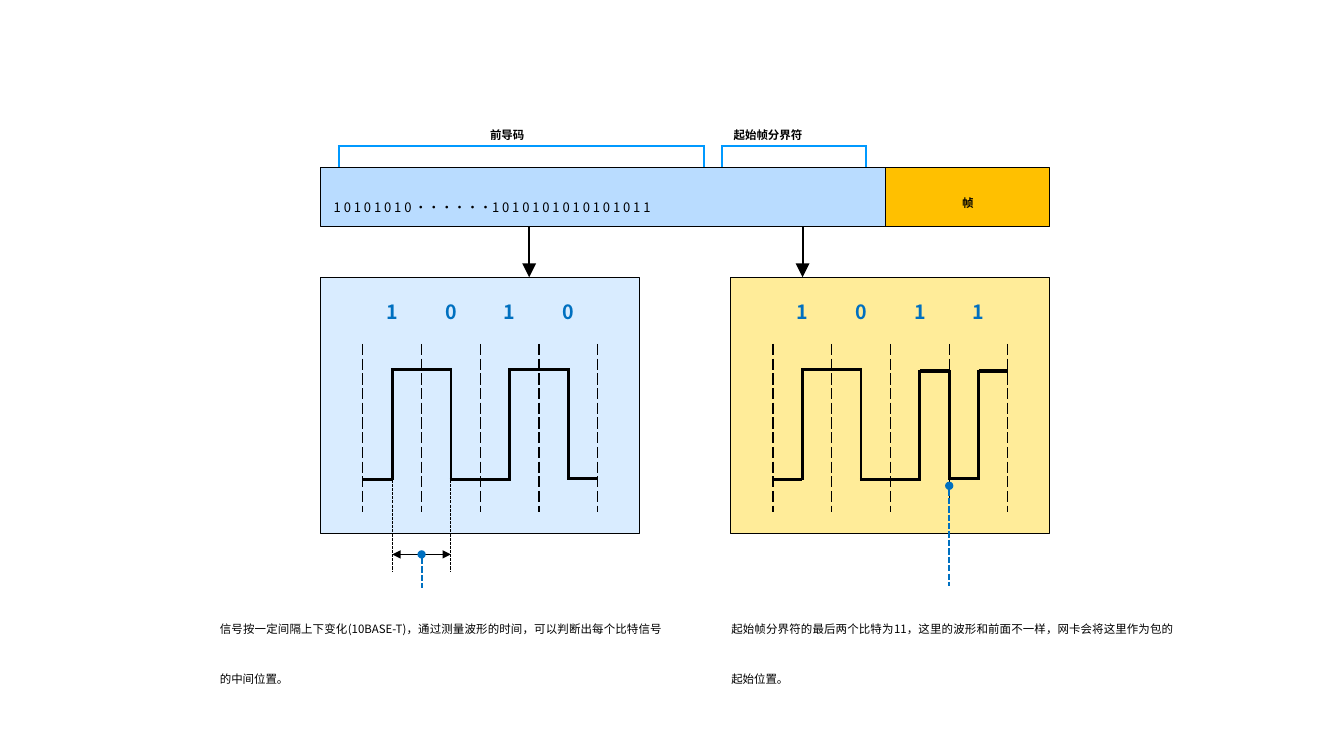
from lxml import etree
from pptx import Presentation
from pptx import util as u
from pptx.dml.color import RGBColor
from pptx.enum import dml, shapes, text
from pptx.oxml.ns import qn

Pt = u.Pt
THEME = {
    "font": "Noto Sans CJK SC",
    "black": "000000", "white": "FFFFFF", "blue": "0070C0", "bracket": "0099FF",
    "strip": "B9DCFF", "frame": "FFC000",
    "preamble": "D9ECFF", "delimiter": "FFEC99",
    "small": 8.2, "bits": 9.3, "digit": 14, "empty": 6,
}
NO_TABLE_STYLE = "{2D5ABB26-0587-4C30-8999-92F81FD0307C}"
HALF_BIT = 20.97
BIT = 2 * HALF_BIT
PREAMBLE_LEFT, DELIMITER_LEFT = 259.2, 552.2
WAVE_HIGH, WAVE_LOW = 264.2, 342.7
STRIP_TOP, STRIP_BOTTOM, PANEL_TOP = 120, 162, 198
BRACKET_TOP = 104.4

presentation = Presentation()
presentation.slide_width, presentation.slide_height = Pt(960), Pt(540)
slide = presentation.slides.add_slide(presentation.slide_layouts[6])


def write(frame, words, size="small", color="black", bold=False,
          align=text.PP_ALIGN.LEFT, spacing=None, top=None):
    if top is not None:
        frame.margin_top = Pt(top)
        frame.word_wrap = True
    paragraph = frame.paragraphs[0]
    paragraph.alignment = align
    if spacing:
        paragraph.line_spacing = Pt(spacing)
    run = paragraph.add_run()
    run.text = words
    run.font.size = Pt(THEME[size])
    run.font.bold = bold
    run.font.color.rgb = RGBColor.from_string(THEME[color])
    run.font.name = THEME["font"]
    etree.SubElement(run.font._element, qn("a:ea"), typeface=THEME["font"])


def add_grid(left, top, column_width, heights, sides, styles, fill=None):
    """Draw a table; sides holds the bordered sides of each cell, row by row."""
    columns = len(sides[0])
    table = slide.shapes.add_table(
        len(heights), columns, Pt(left), Pt(top),
        Pt(columns * column_width), Pt(sum(heights))).table
    table.first_row = table.horz_banding = False
    table._tbl.tblPr.find(qn("a:tableStyleId")).text = NO_TABLE_STYLE
    for column in table.columns:
        column.width = Pt(column_width)
    for row, height in enumerate(heights):
        table.rows[row].height = Pt(height)
        for column in range(columns):
            cell = table.cell(row, column)
            properties = cell._tc.get_or_add_tcPr()
            for side in sides[row][column]:
                color, weight, dash = styles.get(side, styles["all"])
                border = etree.SubElement(
                    properties, qn("a:ln" + side), w=str(Pt(weight)))
                paint = etree.SubElement(border, qn("a:solidFill"))
                etree.SubElement(paint, qn("a:srgbClr"), val=THEME[color])
                etree.SubElement(border, qn("a:prstDash"), val=dash)
            if fill:
                cell.fill.solid()
                cell.fill.fore_color.rgb = RGBColor.from_string(THEME[fill])
            else:
                cell.fill.background()
                cell.margin_top = cell.margin_bottom = 0
            etree.SubElement(cell.text_frame.paragraphs[0]._p,
                             qn("a:endParaRPr"), sz=str(THEME["empty"] * 100))
    return table


# Brackets above the strip
for left, width in ((242, 260.6), (515.5, 103)):
    add_grid(left, BRACKET_TOP, width, [16.6], [["LRTB"]],
             {"all": ("bracket", 1.5, "solid"), "B": ("white", 3, "solid")})

# Packet strip, frame and the two panels
boxes = {}
for name, left, top, width, height in (
    ("strip", 229, STRIP_TOP, 404, STRIP_BOTTOM - STRIP_TOP),
    ("delimiter", 522, PANEL_TOP, 228, 183),
    ("preamble", 229, PANEL_TOP, 228, 183),
    ("frame", 632.7, STRIP_TOP, 117.3, STRIP_BOTTOM - STRIP_TOP),
):
    shape = slide.shapes.add_shape(
        shapes.MSO_SHAPE.RECTANGLE, Pt(left), Pt(top), Pt(width), Pt(height))
    shape.shadow.inherit = False
    shape.fill.solid()
    shape.fill.fore_color.rgb = RGBColor.from_string(THEME[name])
    shape.line.color.rgb = RGBColor.from_string(THEME["black"])
    shape.line.width = Pt(0.75)
    boxes[name] = shape
boxes["frame"].text_frame.vertical_anchor = text.MSO_ANCHOR.MIDDLE
write(boxes["frame"].text_frame, "帧", bold=True,
      align=text.PP_ALIGN.CENTER, top=10.8)

# Bit grids with dashed limits, and the waveforms over them
for name, left, digits, wave_sides in (
    ("preamble", PREAMBLE_LEFT, "1010", ["LRT", "LRB", "LRT", "L"]),
    ("delimiter", DELIMITER_LEFT, "1011", ["LRT", "LRB", "L", ""]),
):
    table = add_grid(left, 208.3, BIT, [37.4, 120.2], [[""] * 4, ["LR"] * 4],
                     {"all": ("black", 1, "dash")}, fill=name)
    for column, digit in enumerate(digits):
        write(table.cell(0, column).text_frame, digit, size="digit",
              color="blue", bold=True, align=text.PP_ALIGN.CENTER)
    add_grid(left + HALF_BIT, WAVE_HIGH, BIT, [WAVE_LOW - WAVE_HIGH],
             [wave_sides], {"all": ("black", 2.25, "solid")})

# Wave ends, timing marks, arrows and callout lines
first_edge = PREAMBLE_LEFT + HALF_BIT
second_edge = first_edge + BIT
bit_middle = first_edge + HALF_BIT
last_low = PREAMBLE_LEFT + 7 * HALF_BIT
third_rise, start_mark, last_rise, delimiter_end = (
    DELIMITER_LEFT + step * HALF_BIT for step in (5, 6, 7, 8))
WAVE = ("black", 2.25, False, None, None)
TIMING = ("black", 0.75, True, None, None)
SPAN = ("black", 0.75, False, "triangle", "triangle")
ARROW = ("black", 1.5, False, None, "triangle")
CALLOUT = ("blue", 1.5, True, "oval", None)
for x1, y1, x2, y2, (color, weight, dashed, head, tail) in (
    (PREAMBLE_LEFT, WAVE_LOW, first_edge, WAVE_LOW, WAVE),
    (last_low, 341.5, last_low + HALF_BIT, 341.5, WAVE),
    (DELIMITER_LEFT, WAVE_LOW, DELIMITER_LEFT + HALF_BIT, WAVE_LOW, WAVE),
    (start_mark, 341.5, last_rise, 341.5, WAVE),
    (third_rise, 265, start_mark, 265, WAVE),
    (start_mark, WAVE_HIGH, start_mark, WAVE_LOW, WAVE),
    (last_rise, WAVE_HIGH, last_rise, WAVE_LOW, WAVE),
    (last_rise, 265, delimiter_end, 265, WAVE),
    (first_edge, WAVE_LOW, first_edge, 408, TIMING),
    (second_edge, WAVE_LOW, second_edge, 408, TIMING),
    (first_edge, 396, second_edge, 396, SPAN),
    (378, STRIP_BOTTOM, 378, PANEL_TOP, ARROW),
    (573.3, STRIP_BOTTOM, 573.3, PANEL_TOP, ARROW),
    (start_mark, 347, start_mark, 418.3, CALLOUT),
    (bit_middle, 396, bit_middle, 420, CALLOUT),
):
    connector = slide.shapes.add_connector(
        shapes.MSO_CONNECTOR.STRAIGHT, Pt(x1), Pt(y1), Pt(x2), Pt(y2))
    connector.line.color.rgb = RGBColor.from_string(THEME[color])
    connector.line.width = Pt(weight)
    if dashed:
        connector.line.dash_style = dml.MSO_LINE.SQUARE_DOT
    line = connector.line._get_or_add_ln()
    for tag, kind in (("a:headEnd", head), ("a:tailEnd", tail)):
        if kind:
            scale = "lg" if kind == "triangle" and weight > 1 else "med"
            etree.SubElement(line, qn(tag), type=kind, w=scale, len=scale)
    etree.SubElement(connector._element.spPr, qn("a:effectLst"))

# Labels, bit string and explanations
label = {"bold": True, "top": 12}
bits = {"size": "bits", "top": 13}
note = {"align": text.PP_ALIGN.JUSTIFY, "spacing": 35.7, "top": 4.5}
for words, left, top, width, height, style in (
    ("1 0 1 0 1 0 1 0 ••••••1 0 1 0 1 0 1 0 1 0 1 0 1 0 1 1",
     231.3, 129.6, 404, 26.6, bits),
    ("信号按一定间隔上下变化(10BASE-T)，通过测量波形的时间，可以判断出每个比特信号的中间位置。",
     150, 414, 330, 70, note),
    ("起始帧分界符的最后两个比特为11，这里的波形和前面不一样，网卡会将这里作为包的起始位置。",
     515.3, 414, 330, 70, note),
    ("前导码", 343, 79.2, 61, 24.5, label),
    ("起始帧分界符", 517, 79.2, 99, 24.5, label),
):
    shape = slide.shapes.add_textbox(Pt(left), Pt(top), Pt(width), Pt(height))
    write(shape.text_frame, words, **style)

presentation.save("out.pptx")
